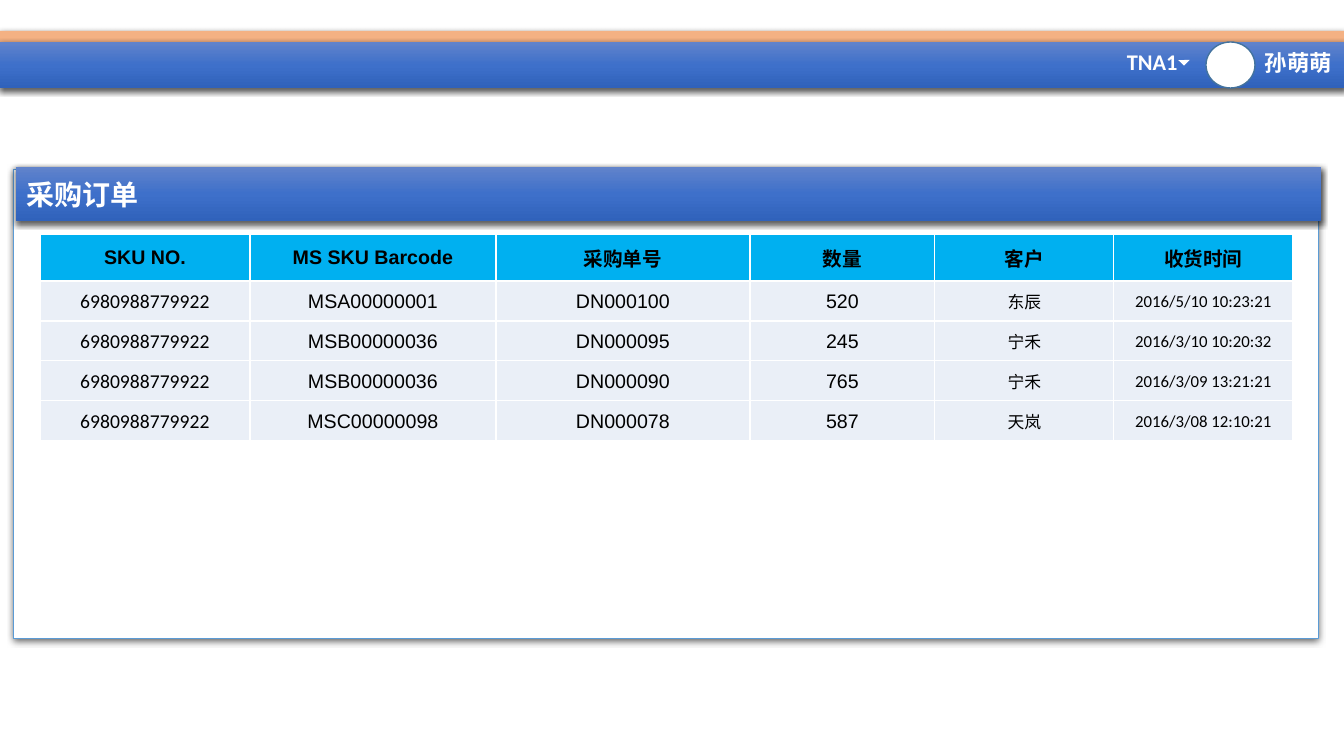
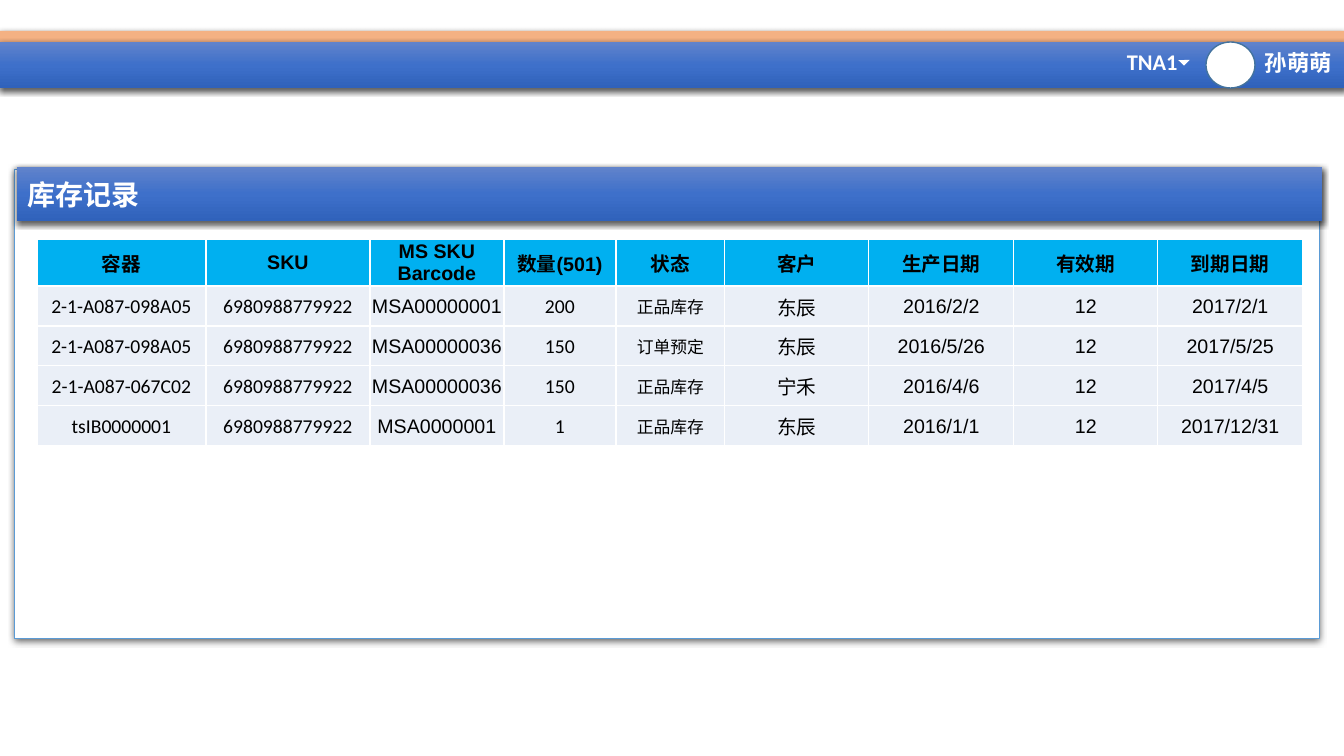
from dataclasses import dataclass
from lxml.etree import SubElement
from pptx import Presentation
from pptx.dml.color import RGBColor
from pptx.enum.shapes import MSO_SHAPE
from pptx.enum.text import MSO_ANCHOR, MSO_AUTO_SIZE, PP_ALIGN
from pptx.oxml import parse_xml
from pptx.oxml.ns import nsdecls, qn
from pptx.util import Emu, Pt

SLIDE_W, SLIDE_H = 1344, 756
SCALE = 12192000 / SLIDE_W


@dataclass(frozen=True)
class Theme:
    white: str = "FFFFFF"
    black: str = "000000"
    stripe: str = "F4B183"
    band: tuple = ((0, "6183CB"), (50, "3E70CA"), (100, "3062BB"))
    panel_line: str = "5B9BD5"
    avatar_line: str = "43739E"
    head_fill: str = "00B0F0"
    row_fill: str = "EAEFF7"
    sans: str = "Calibri"
    grid: str = "Arial"
    cjk: str = "Noto Sans CJK SC"
    title: int = 20
    user: int = 16
    cell: int = 14
    small: int = 12


T = Theme()
GRID = (T.grid, T.cell)
SANS = (T.sans, T.cell)
SMALL = (T.sans, T.small)

# Each column: heading, width, (font, size) of its body cells
ORDERS = dict(
    title="采购订单", panel_x=14, table_at=(40, 234),
    columns=[("SKU NO.", 210, SANS), ("MS SKU Barcode", 246, GRID),
             ("采购单号", 254, GRID), ("数量", 185, GRID),
             ("客户", 179, SMALL), ("收货时间", 179, SMALL)],
    rows=[
        ("6980988779922", "MSA00000001", "DN000100", "520", "东辰", "2016/5/10 10:23:21"),
        ("6980988779922", "MSB00000036", "DN000095", "245", "宁禾", "2016/3/10 10:20:32"),
        ("6980988779922", "MSB00000036", "DN000090", "765", "宁禾", "2016/3/09 13:21:21"),
        ("6980988779922", "MSC00000098", "DN000078", "587", "天岚", "2016/3/08 12:10:21"),
    ])
STOCK = dict(
    title="库存记录", panel_x=15, table_at=(37, 239),
    columns=[("容器", 169, SANS), ("SKU", 164, SANS), ("MS SKU Barcode", 134, GRID),
             ("数量(501)", 112, SANS), ("状态", 109, SMALL), ("客户", 144, GRID),
             ("生产日期", 145, GRID), ("有效期", 144, GRID), ("到期日期", 145, GRID)],
    rows=[
        ("2-1-A087-098A05", "6980988779922", "MSA00000001", "200", "正品库存", "东辰",
         "2016/2/2", "12", "2017/2/1"),
        ("2-1-A087-098A05", "6980988779922", "MSA00000036", "150", "订单预定", "东辰",
         "2016/5/26", "12", "2017/5/25"),
        ("2-1-A087-067C02", "6980988779922", "MSA00000036", "150", "正品库存", "宁禾",
         "2016/4/6", "12", "2017/4/5"),
        ("tsIB0000001", "6980988779922", "MSA0000001", "1", "正品库存", "东辰",
         "2016/1/1", "12", "2017/12/31"),
    ])


def px(n):
    return Emu(round(n * SCALE))


def set_attrs(obj, **values):
    for name, value in values.items():
        setattr(obj, name, value)


def place(sp, x, y, w, h):
    set_attrs(sp, left=px(x), top=px(y), width=px(w), height=px(h))


# Formatting helpers
def write(tf, text, font, size, color, bold=False, align=PP_ALIGN.LEFT):
    p = tf.paragraphs[0]
    p.alignment = align
    r = p.add_run()
    r.text = text
    set_attrs(r.font, name=font, size=Pt(size), bold=bold)
    r.font.color.rgb = RGBColor.from_string(color)
    SubElement(r.font._element, qn("a:ea"), typeface=T.cjk)


def solid(target, color):
    target.fill.solid()
    target.fill.fore_color.rgb = RGBColor.from_string(color)


def gradient(sp, stops):
    sp.fill.gradient()
    sp.fill.gradient_angle = 270
    gs_list = sp.element.spPr.find(".//" + qn("a:gsLst"))
    gs_list.clear()
    for pos, color in stops:
        gs = SubElement(gs_list, qn("a:gs"), pos=str(pos * 1000))
        SubElement(gs, qn("a:srgbClr"), val=color)


def drop_shadow(sp):
    sp.shadow.inherit = False
    effects = sp.element.spPr.find(qn("a:effectLst"))
    effects.append(parse_xml(
        f'<a:outerShdw {nsdecls("a")} blurRad="57150" dist="19050" dir="5400000" '
        f'algn="ctr" rotWithShape="0"><a:srgbClr val="{T.black}">'
        '<a:alpha val="63000"/></a:srgbClr></a:outerShdw>'))


def add_shape(s, kind, box, fill, line=None, width=1, shadow=False):
    sp = s.shapes.add_shape(kind, *map(px, box))
    sp.shadow.inherit = False
    if isinstance(fill, tuple):
        gradient(sp, fill)
    else:
        solid(sp, fill)
    if line:
        sp.line.color.rgb = RGBColor.from_string(line)
        sp.line.width = Pt(width)
    else:
        sp.line.fill.background()
    if shadow:
        drop_shadow(sp)
    return sp


def add_label(s, text, box):
    sp = s.shapes.add_textbox(*map(px, box))
    tf = sp.text_frame
    set_attrs(tf, word_wrap=False, auto_size=MSO_AUTO_SIZE.SHAPE_TO_FIT_TEXT)
    write(tf, text, T.sans, T.user, T.white, bold=True)
    return sp


# Top bar, moved to the layout so that every slide inherits it
def build_header(s, layout, x, y, w):
    band_y, band_h = y + 11, 46
    right = x + w
    stripe = add_shape(s, MSO_SHAPE.RECTANGLE, (x, y, w, 11), T.stripe, shadow=True)
    band = add_shape(s, MSO_SHAPE.RECTANGLE, (x, band_y, w, band_h), T.band, shadow=True)
    user = add_label(s, "孙萌萌", (right - 89, band_y + 2, 89, 37))
    avatar = add_shape(s, MSO_SHAPE.OVAL, (right - 138, band_y, 49, band_h),
                       T.white, T.avatar_line)
    site = add_label(s, "TNA1", (right - 227, band_y + 1, 72, 37))
    caret = add_shape(s, MSO_SHAPE.RIGHT_TRIANGLE, (right - 164, band_y + 14, 8, 8), T.white)
    caret.rotation = 314.5
    for ph in list(layout.placeholders):
        if ph.placeholder_format.idx:
            ph.element.getparent().remove(ph.element)
    for sp in (stripe, band, user, avatar, site, caret):
        layout.shapes.element.insert_element_before(sp.element, "p:extLst")


# White panel with the slide title as its heading bar
def build_panel(s, title, x, y, w, h):
    add_shape(s, MSO_SHAPE.RECTANGLE, (x, y, w, h), T.white, T.panel_line, 0.75, shadow=True)
    sp = s.shapes.title
    place(sp, x + 2, y - 2, w, 54)
    gradient(sp, T.band)
    drop_shadow(sp)
    tf = sp.text_frame
    set_attrs(tf, vertical_anchor=MSO_ANCHOR.MIDDLE, auto_size=MSO_AUTO_SIZE.NONE,
              word_wrap=True)
    write(tf, title, T.sans, T.title, T.white, bold=True)
    s.shapes.element.append(sp.element)


def fill_cell(cell, text, font, size, fill, bold):
    set_attrs(cell, vertical_anchor=MSO_ANCHOR.MIDDLE, margin_left=px(1),
              margin_right=px(1), margin_top=px(1), margin_bottom=0)
    write(cell.text_frame, text, font, size, T.black, bold, PP_ALIGN.CENTER)
    solid(cell, fill)
    tc_pr = cell._tc.get_or_add_tcPr()
    for i, side in enumerate("LRTB"):
        tc_pr.insert(i, parse_xml(
            f'<a:ln{side} {nsdecls("a")} w="12700"><a:solidFill>'
            f'<a:srgbClr val="{T.white}"/></a:solidFill></a:ln{side}>'))


# Data table
def build_table(s, columns, rows, x, y, head_h=47, row_h=40):
    width = sum(col_w for _, col_w, _ in columns)
    height = head_h + row_h * len(rows)
    table = s.shapes.add_table(len(rows) + 1, len(columns),
                               *map(px, (x, y, width, height))).table
    table.horz_banding = False
    for i, row in enumerate(table.rows):
        row.height = px(row_h if i else head_h)
    for c, (heading, col_w, style) in enumerate(columns):
        table.columns[c].width = px(col_w)
        fill_cell(table.cell(0, c), heading, *GRID, T.head_fill, True)
        for i, row in enumerate(rows, 1):
            fill_cell(table.cell(i, c), row[c], *style, T.row_fill, False)


def build_record_slide(s, title, panel_x, table_at, columns, rows):
    build_panel(s, title, panel_x, 169, 1305, 470)
    build_table(s, columns, rows, *table_at)


def main():
    prs = Presentation()
    set_attrs(prs, slide_width=px(SLIDE_W), slide_height=px(SLIDE_H))
    layout = prs.slide_layouts.get_by_name("Title Only")
    slides = [prs.slides.add_slide(layout) for _ in range(2)]
    build_header(slides[0], layout, 0, 31, SLIDE_W)
    for s, record in zip(slides, (ORDERS, STOCK)):
        build_record_slide(s, **record)
    prs.save("out.pptx")


if __name__ == "__main__":
    main()
